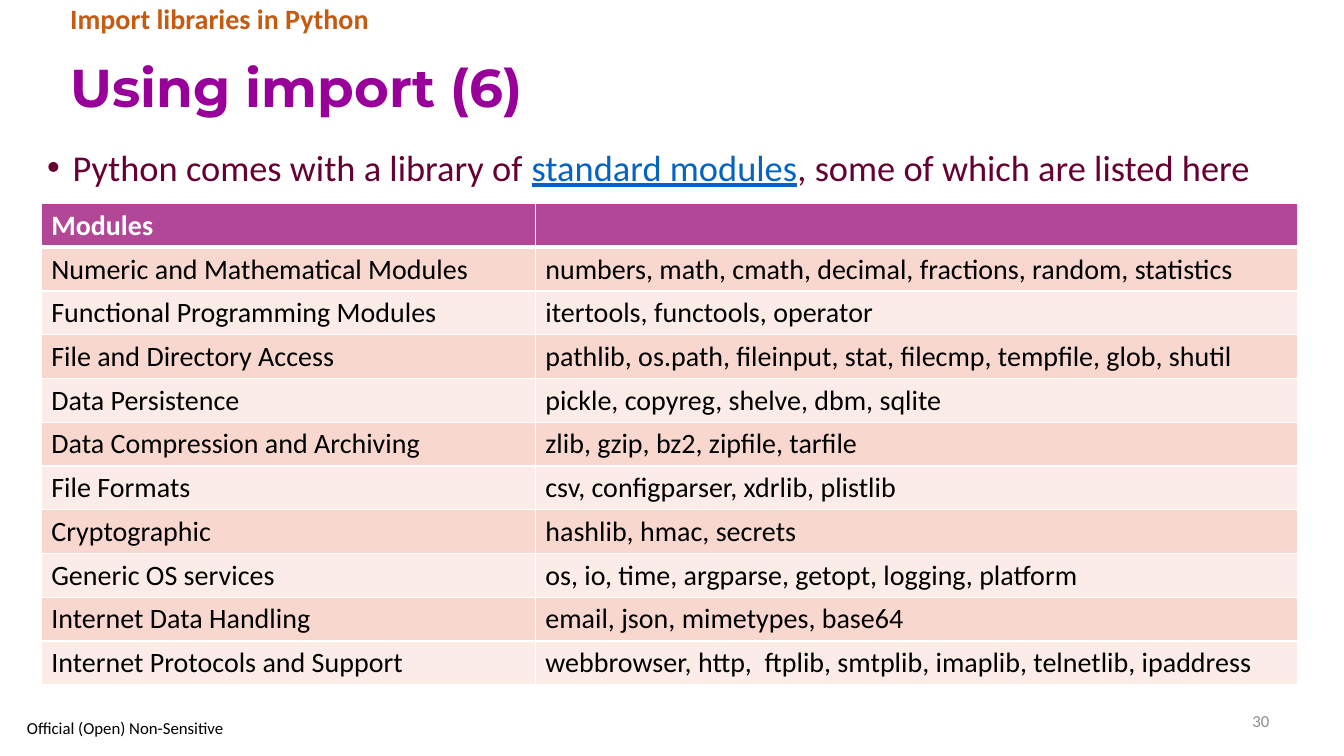
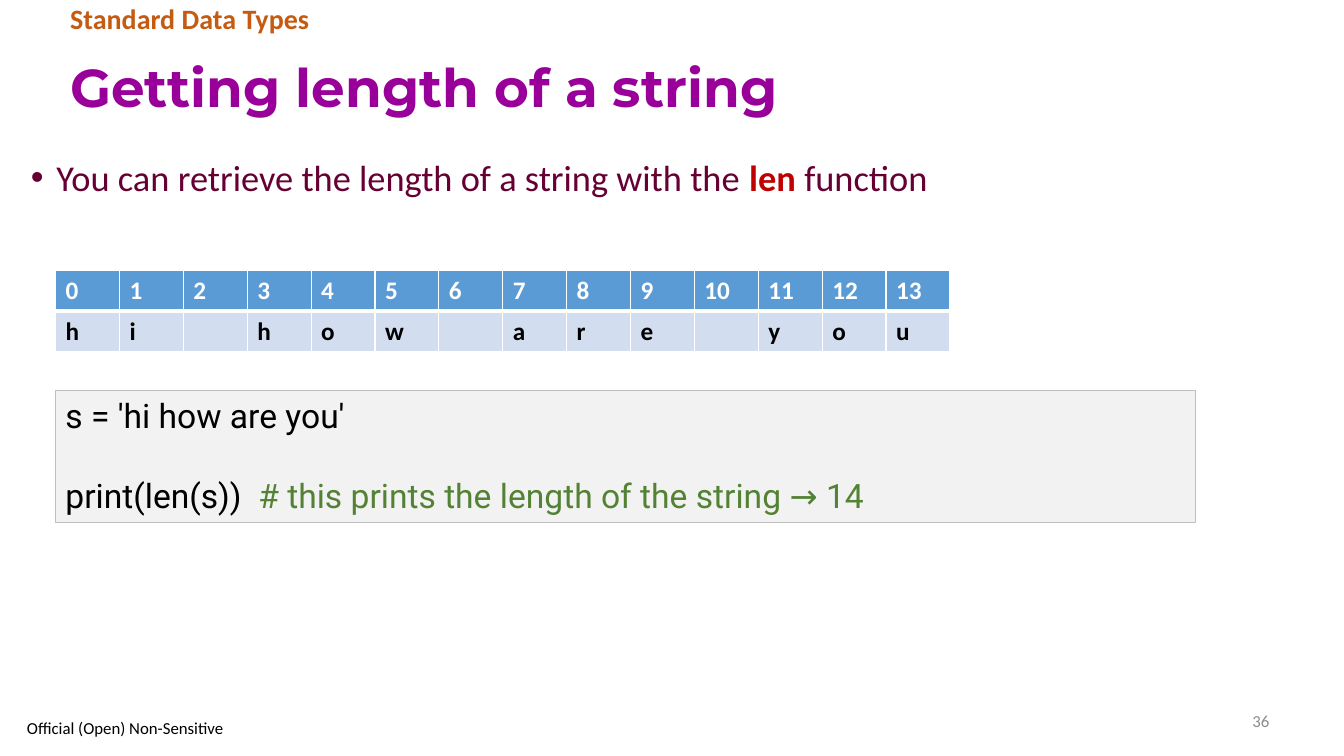
from lxml import etree
from pptx import Presentation
from pptx.dml.color import RGBColor
from pptx.enum import shapes, text
from pptx.oxml import ns
from pptx.util import Cm, Pt

PHRASE = "hi how are you"

PAGES = [
    {
        "number": "30",
        "section": "Import libraries in Python",
        "title": "Using import (6)",
        "bullet": [
            ("Python comes with a library of ", "body"),
            ("standard modules", "link"),
            (", some of which are listed here", "body"),
        ],
        "bullet_at": (0.94, 3.53, 32.92, 3.99),
        "table": {
            "at": (1.04, 5.13),
            "columns": [12.45, 19.22],
            "row_height": 1.1,
            "style": "modules",
            "rows": [
                ("Modules", ""),
                ("Numeric and Mathematical Modules",
                 "numbers, math, cmath, decimal, fractions, random, statistics"),
                ("Functional Programming Modules", "itertools, functools, operator"),
                ("File and Directory Access",
                 "pathlib, os.path, fileinput, stat, filecmp, tempfile, glob, shutil"),
                ("Data Persistence", "pickle, copyreg, shelve, dbm, sqlite"),
                ("Data Compression and Archiving", "zlib, gzip, bz2, zipfile, tarfile"),
                ("File Formats", "csv, configparser, xdrlib, plistlib"),
                ("Cryptographic", "hashlib, hmac, secrets"),
                ("Generic OS services",
                 "os, io, time, argparse, getopt, logging, platform"),
                ("Internet Data Handling", "email, json, mimetypes, base64"),
                ("Internet Protocols and Support",
                 "webbrowser, http,  ftplib, smtplib, imaplib, telnetlib, ipaddress"),
            ],
        },
    },
    {
        "number": "36",
        "section": "Standard Data Types",
        "title": "Getting length of a string",
        "bullet": [
            ("You can retrieve the length of a string with the ", "body"),
            ("len", "keyword"),
            (" function", "body"),
        ],
        "bullet_at": (0.53, 3.78, 32.92, 3.02),
        "table": {
            "at": (1.4, 6.81),
            "columns": [1.61] * len(PHRASE),
            "row_height": 1.03,
            "style": "letters",
            "rows": [
                [str(index) for index in range(len(PHRASE))],
                [letter.strip() for letter in PHRASE],
            ],
        },
        "code": [
            [(f"s = '{PHRASE}'", "code")],
            [("print(len(s))  ", "code"),
             ("# this prints the length of the string → 14", "comment")],
        ],
    },
]
FOOTER = "Official (Open) Non-Sensitive"


def font(size, color, name="Calibri", **extra):
    return {"size": Pt(size), "name": name, "color": color, **extra}


THEME = {
    "title": font(38, "990099", "Montserrat", bold=True),
    "section": font(20, "C55A11", bold=True),
    "body": font(26, "660033"),
    "link": font(26, "0563C1", underline=True),
    "keyword": font(26, "C00000", bold=True),
    "number": font(12, "8C8C8C"),
    "footer": font(12, "000000"),
    "code": font(24, "000000", "Roboto"),
    "comment": font(24, "548235", "Roboto"),
    "code_fill": "F2F2F2",
    "code_line": "BFBFBF",
    "border": "FFFFFF",
    "modules": {
        "head": font(20, "FFFFFF", bold=True),
        "cell": font(20, "000000", bold=False),
        "head_fill": "B34797",
        "bands": ["F8D7CE", "FCECE8"],
    },
    "letters": {
        "head": font(18, "FFFFFF", bold=True),
        "cell": font(18, "000000", bold=True),
        "head_fill": "5B9BD5",
        "bands": ["D2DEEF"],
    },
}


def rgb(color):
    return RGBColor.from_string(color)


def add_span(para, words, style):
    span = para.add_run()
    span.text = words
    for key, value in style.items():
        if key == "color":
            span.font.color.rgb = rgb(value)
        else:
            setattr(span.font, key, value)


def add_text(page, at, spans, middle=False, **layout):
    """Add a wrapped one-paragraph box; layout holds paragraph attributes."""
    box = page.shapes.add_textbox(*map(Cm, at))
    frame = box.text_frame
    frame.word_wrap = True
    frame.vertical_anchor = text.MSO_ANCHOR.MIDDLE if middle else text.MSO_ANCHOR.TOP
    para = frame.paragraphs[0]
    for key, value in layout.items():
        setattr(para, key, value)
    for words, style in spans:
        add_span(para, words, THEME[style])
    return para


def add_bullet(page, at, spans):
    para = add_text(page, at, spans)
    props = para._p.get_or_add_pPr()
    props.set("marL", str(Cm(0.64)))
    props.set("indent", str(-Cm(0.64)))
    etree.SubElement(props, ns.qn("a:buFont"), typeface="Arial")
    etree.SubElement(props, ns.qn("a:buChar"), char="•")


def set_borders(cell, widths):
    """Draw the cell's edges, given as point widths by side letter."""
    props = cell._tc.get_or_add_tcPr()
    for side, width in widths.items():
        line = etree.SubElement(props, ns.qn(f"a:ln{side}"), w=str(Pt(width)))
        fill = etree.SubElement(line, ns.qn("a:solidFill"))
        etree.SubElement(fill, ns.qn("a:srgbClr"), val=THEME["border"])


def add_grid(page, at, columns, row_height, style, rows):
    look = THEME[style]
    size = (sum(columns), row_height * len(rows))
    frame = page.shapes.add_table(len(rows), len(columns), *map(Cm, (*at, *size)))
    grid = frame.table
    grid.horz_banding = False
    for column, width in zip(grid.columns, columns):
        column.width = Cm(width)
    for r, row in enumerate(rows):
        grid.rows[r].height = Cm(row_height)
        bands = look["bands"]
        color = bands[(r - 1) % len(bands)] if r else look["head_fill"]
        for c, words in enumerate(row):
            cell = grid.cell(r, c)
            set_borders(cell, {"L": 1, "R": 1, "T": 3 if r == 1 else 1,
                               "B": 1 if r else 3})
            cell.fill.solid()
            cell.fill.fore_color.rgb = rgb(color)
            if words:
                add_span(cell.text_frame.paragraphs[0], words,
                         look["cell" if r else "head"])


def add_code(page, lines):
    at = map(Cm, (1.4, 9.83, 28.73, 3.33))
    box = page.shapes.add_shape(shapes.MSO_SHAPE.RECTANGLE, *at)
    box.shadow.inherit = False
    box.fill.solid()
    box.fill.fore_color.rgb = rgb(THEME["code_fill"])
    box.line.color.rgb = rgb(THEME["code_line"])
    box.line.width = Pt(0.75)
    frame = box.text_frame
    frame.word_wrap = True
    frame.vertical_anchor = text.MSO_ANCHOR.TOP
    for i, spans in enumerate(lines):
        para = frame.add_paragraph() if i else frame.paragraphs[0]
        para.alignment = text.PP_ALIGN.LEFT
        if i:
            para.space_before = Pt(28)
        for words, style in spans:
            add_span(para, words, THEME[style])


def add_page(deck, content):
    page = deck.slides.add_slide(deck.slide_layouts[6])
    add_text(page, (1.52, 1.04, 30.71, 2.46), [(content["title"], "title")],
             middle=True, line_spacing=0.9)
    add_text(page, (23.93, 17.65, 8.31, 1.02), [(content["number"], "number")],
             middle=True, alignment=text.PP_ALIGN.RIGHT)
    add_text(page, (1.52, 0, 26.26, 1.04), [(content["section"], "section")],
             line_spacing=0.9)
    add_bullet(page, content["bullet_at"], content["bullet"])
    if "code" in content:
        add_code(page, content["code"])
    add_grid(page, **content["table"])
    add_text(page, (0.43, 18.01, 5.69, 0.66), [(FOOTER, "footer")], middle=True)


def main():
    deck = Presentation()
    deck.slide_width, deck.slide_height = Cm(33.87), Cm(19.05)
    for content in PAGES:
        add_page(deck, content)
    deck.save("out.pptx")


if __name__ == "__main__":
    main()
